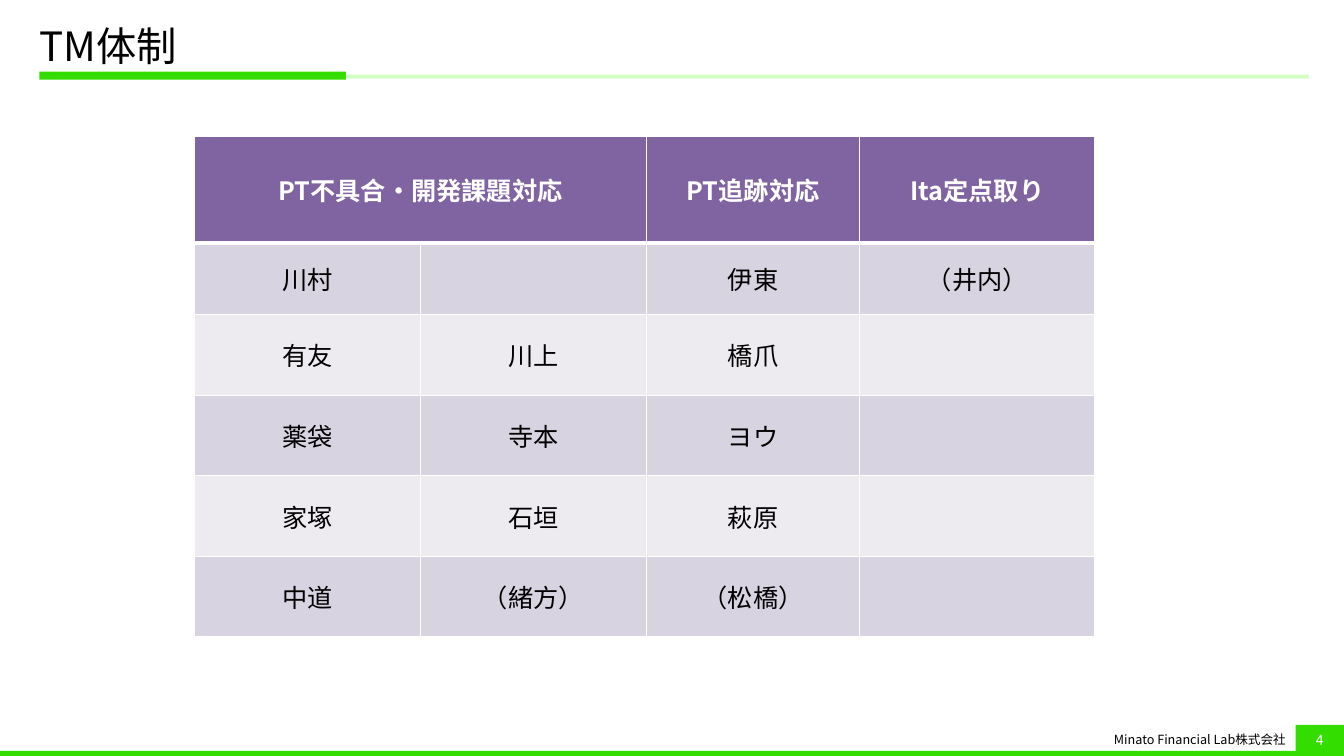
import pptx
import pptx.dml.color
import pptx.enum.shapes
import pptx.enum.text
import pptx.oxml.ns
import pptx.util
import lxml.etree

RGBColor = pptx.dml.color.RGBColor
ALIGN = pptx.enum.text.PP_ALIGN
MIDDLE = pptx.enum.text.MSO_ANCHOR.MIDDLE
qn = pptx.oxml.ns.qn

GREEN = RGBColor(0x33, 0xDD, 0x00)
PALE_GREEN = RGBColor(0xD3, 0xFF, 0xC5)
PURPLE = RGBColor(0x80, 0x64, 0xA2)
BANDS = (RGBColor(0xED, 0xEA, 0xF0), RGBColor(0xD8, 0xD3, 0xE0))
BLACK = RGBColor(0x00, 0x00, 0x00)
WHITE = RGBColor(0xFF, 0xFF, 0xFF)

FONT = "Noto Sans CJK JP"
SLIDE_WIDTH = pptx.util.Inches(13.33)
SLIDE_HEIGHT = pptx.util.Inches(7.5)

TEAM_ROWS = (
    ("PT不具合・開発課題対応", "", "PT追跡対応", "Ita定点取り"),
    ("川村", "", "伊東", "（井内）"),
    ("有友", "川上", "橋爪", ""),
    ("薬袋", "寺本", "ヨウ", ""),
    ("家塚", "石垣", "萩原", ""),
    ("中道", "（緒方）", "（松橋）", ""),
)
COLUMN_SHARES = (16.8, 16.8, 15.9, 17.48)
ROW_SHARES = (14.13, 9.47) + (10.67,) * 4


def across(percent):
    """Return a percentage of the slide width."""
    return round(SLIDE_WIDTH * percent / 100)


def down(percent):
    """Return a percentage of the slide height."""
    return round(SLIDE_HEIGHT * percent / 100)


def box(left, top, width, height):
    """Turn percentages of the slide into a position and size."""
    return across(left), down(top), across(width), down(height)


def write(text_frame, text, size, color, align, bold=False):
    """Write one formatted paragraph into a text frame."""
    text_frame.text = text
    paragraph = text_frame.paragraphs[0]
    paragraph.alignment = align
    for run in paragraph.runs:
        run.font.name = FONT
        run.font.size = pptx.util.Pt(size)
        run.font.bold = bold
        run.font.color.rgb = color
        east_asian = lxml.etree.Element(qn("a:ea"), typeface=FONT)
        run.font._element.find(qn("a:latin")).addnext(east_asian)
    return paragraph


def add_bar(slide, place, color):
    """Add a plain filled rectangle."""
    shape = slide.shapes.add_shape(
        pptx.enum.shapes.MSO_SHAPE.RECTANGLE, *box(*place))
    shape.shadow.inherit = False
    shape.fill.solid()
    shape.fill.fore_color.rgb = color
    shape.line.fill.background()
    return shape


def add_label(slide, place, text, size, align):
    """Add a vertically centred text box."""
    label = slide.shapes.add_textbox(*box(*place))
    label.text_frame.word_wrap = True
    label.text_frame.vertical_anchor = MIDDLE
    write(label.text_frame, text, size, BLACK, align)
    return label


def add_borders(cell, bottom_width):
    """Draw white borders around a cell."""
    properties = cell._tc.get_or_add_tcPr()
    for side, width in zip("LRTB", (1, 1, 1, bottom_width)):
        line = lxml.etree.SubElement(
            properties, qn(f"a:ln{side}"), w=str(pptx.util.Pt(width)))
        fill = lxml.etree.SubElement(line, qn("a:solidFill"))
        lxml.etree.SubElement(fill, qn("a:srgbClr"), val=str(WHITE))


def add_team_table(slide):
    """Add the table of teams and members."""
    place = box(14.48, 18, sum(COLUMN_SHARES), sum(ROW_SHARES))
    table = slide.shapes.add_table(
        len(ROW_SHARES), len(COLUMN_SHARES), *place).table
    for column, share in zip(table.columns, COLUMN_SHARES):
        column.width = across(share)
    for row, share in zip(table.rows, ROW_SHARES):
        row.height = down(share)
    for row_index, names in enumerate(TEAM_ROWS):
        header = row_index == 0
        for column_index, name in enumerate(names):
            cell = table.cell(row_index, column_index)
            cell.vertical_anchor = MIDDLE
            write(cell.text_frame, name, 18, WHITE if header else BLACK,
                  ALIGN.CENTER, header)
            add_borders(cell, 3 if header else 1)
            cell.fill.solid()
            cell.fill.fore_color.rgb = PURPLE if header else BANDS[row_index % 2]
    table.cell(0, 0).merge(table.cell(0, 1))


def main():
    """Build the team structure slide."""
    presentation = pptx.Presentation()
    presentation.slide_width = SLIDE_WIDTH
    presentation.slide_height = SLIDE_HEIGHT
    slide = presentation.slides.add_slide(presentation.slide_layouts[6])

    add_bar(slide, (2.93, 9.47, 22.81, 1.07), GREEN)
    add_bar(slide, (25.73, 9.87, 71.64, 0.53), PALE_GREEN)
    add_bar(slide, (0, 99.33, 100, 0.67), GREEN)

    title = add_label(slide, (2.93, 2.67, 94.45, 7.47), "TM体制", 28.8, ALIGN.LEFT)
    title.text_frame.margin_left = 0
    title.text_frame.paragraphs[0].line_spacing = 0.9

    add_label(slide, (81.47, 96, 14.93, 3.6),
              "Minato Financial Lab株式会社", 9, ALIGN.RIGHT)
    page_number = add_bar(slide, (96.4, 95.87, 3.6, 4.13), GREEN)
    page_number.text_frame.vertical_anchor = MIDDLE
    write(page_number.text_frame, "4", 10, WHITE, ALIGN.CENTER)

    add_team_table(slide)
    presentation.save("out.pptx")


if __name__ == "__main__":
    main()
